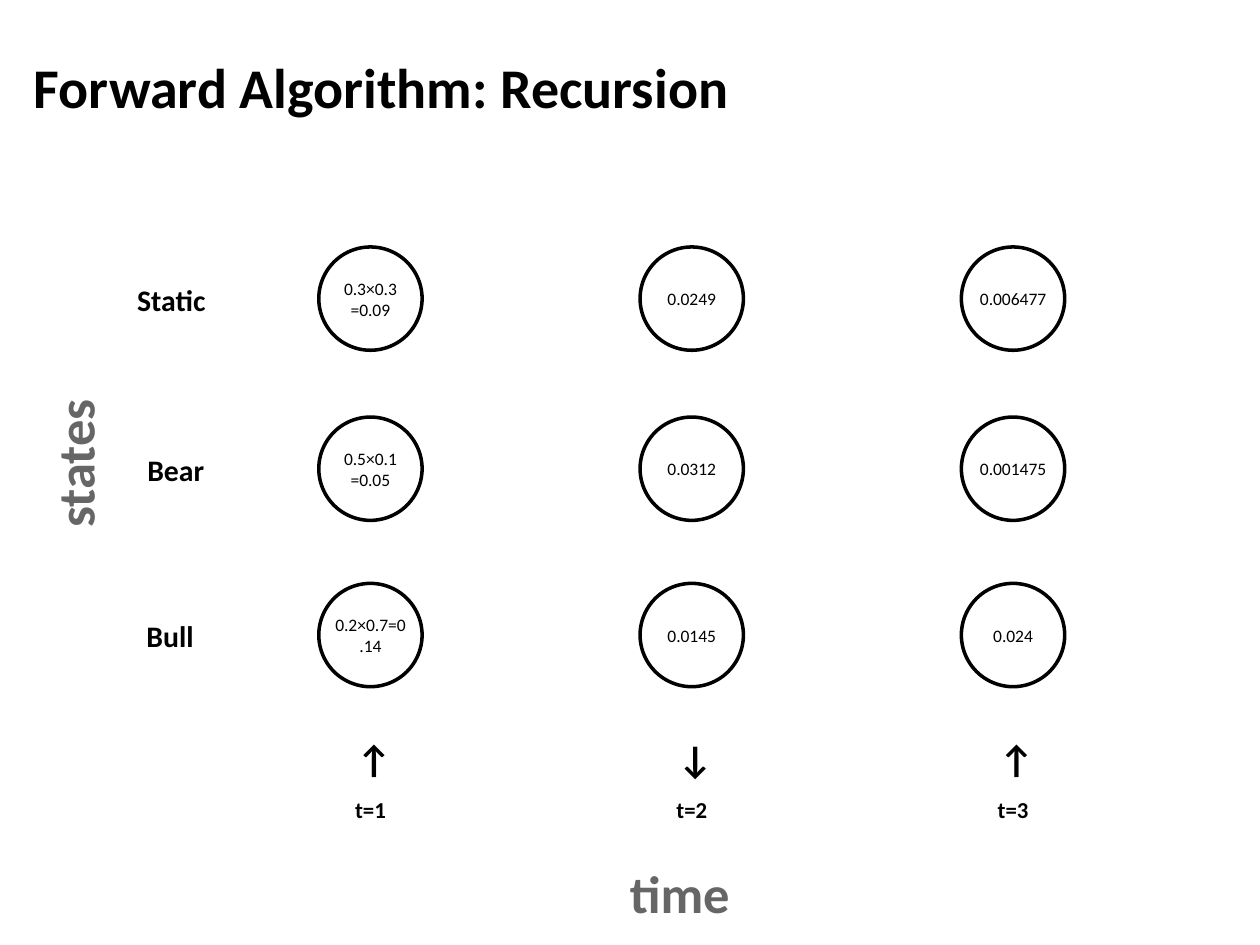
from lxml import etree
from pptx import Presentation
from pptx.dml.color import RGBColor
from pptx.enum import shapes, text
from pptx.oxml.ns import qn
from pptx.util import Inches, Pt

FONT = "Calibri"
COLORS = {"ink": "000000", "axis": "666666", "paper": "FFFFFF"}
TITLE = "Forward Algorithm: Recursion"
STATES = [
    ("Static", 1.01, 0.7, 1.96, [["0.3×0.3", "=0.09"], ["0.0249"], ["0.006477"]]),
    ("Bear", 1.1, 0.59, 3.31, [["0.5×0.1", "=0.05"], ["0.0312"], ["0.001475"]]),
    ("Bull", 1.11, 0.48, 4.63, [["0.2×0.7=0.14"], ["0.0145"], ["0.024"]]),
]
STEPS = [("↑", "t=1"), ("↓", "t=2"), ("↑", "t=3")]
AXES = [("time", 4.9, 6.83, 0.99, 0), ("states", -0.06, 3.43, 1.29, 270)]
NODE_LEFT, STEP_GAP, NODE = 2.53, 2.55, 0.82


def write(sp, lines, size, color="ink", bold=True, align=text.PP_ALIGN.CENTER,
          wrap=False, margins=(0, 0)):
    tf = sp.text_frame
    tf.word_wrap = wrap
    tf.vertical_anchor = text.MSO_ANCHOR.MIDDLE
    tf.margin_left = tf.margin_right = Inches(margins[0])
    tf.margin_top = tf.margin_bottom = Inches(margins[1])
    for i, line in enumerate(lines):
        p = tf.add_paragraph() if i else tf.paragraphs[0]
        p.alignment = align
        r = p.add_run()
        r.text = line
        r.font.name, r.font.size, r.font.bold = FONT, Pt(size), bold
        r.font.color.rgb = RGBColor.from_string(COLORS[color])


def label(s, words, left, top, width, height, size, color="ink"):
    sp = s.shapes.add_textbox(*map(Inches, (left, top, width, height)))
    write(sp, [words], size, color)
    sp.text_frame.auto_size = text.MSO_AUTO_SIZE.SHAPE_TO_FIT_TEXT
    return sp


def node(s, lines, left, top, veiled):
    sp = s.shapes.add_shape(shapes.MSO_SHAPE.OVAL, *map(Inches, (left, top, NODE, NODE)))
    sp.shadow.inherit = False
    sp.line.color.rgb = RGBColor.from_string(COLORS["ink"])
    sp.line.width = Pt(2)
    if veiled:
        sp.fill.solid()
        sp.fill.fore_color.rgb = RGBColor.from_string(COLORS["paper"])
        clr = sp.fill._xPr.find(qn("a:solidFill"))[0]
        etree.SubElement(clr, qn("a:alpha")).set("val", "19000")
    else:
        sp.fill.background()
    write(sp, lines, 10, bold=False, wrap=True)


def main():
    prs = Presentation()
    prs.slide_width, prs.slide_height = Inches(10), Inches(7.5)
    s = prs.slides.add_slide(prs.slide_layouts[6])

    title = s.shapes.add_textbox(*map(Inches, (0.17, 0.12, 9.5, 1.12)))
    write(title, [TITLE], 32, align=text.PP_ALIGN.LEFT, wrap=True, margins=(0.1, 0.05))

    for words, left, top, width, turn in AXES:
        label(s, words, left, top, width, 0.5, 30, "axis").rotation = turn

    for col, (arrow, step) in enumerate(STEPS):
        left = NODE_LEFT + col * STEP_GAP
        label(s, arrow, left + 0.3, 5.83, 0.22, 0.37, 22)
        label(s, step, left + 0.25, 6.31, 0.32, 0.22, 13)

    for state, left, width, top, values in STATES:
        label(s, state, left, top + 0.27, width, 0.29, 17)
        for col, lines in enumerate(values):
            node(s, lines, NODE_LEFT + col * STEP_GAP, top, col == 2)

    prs.save("out.pptx")


if __name__ == "__main__":
    main()
